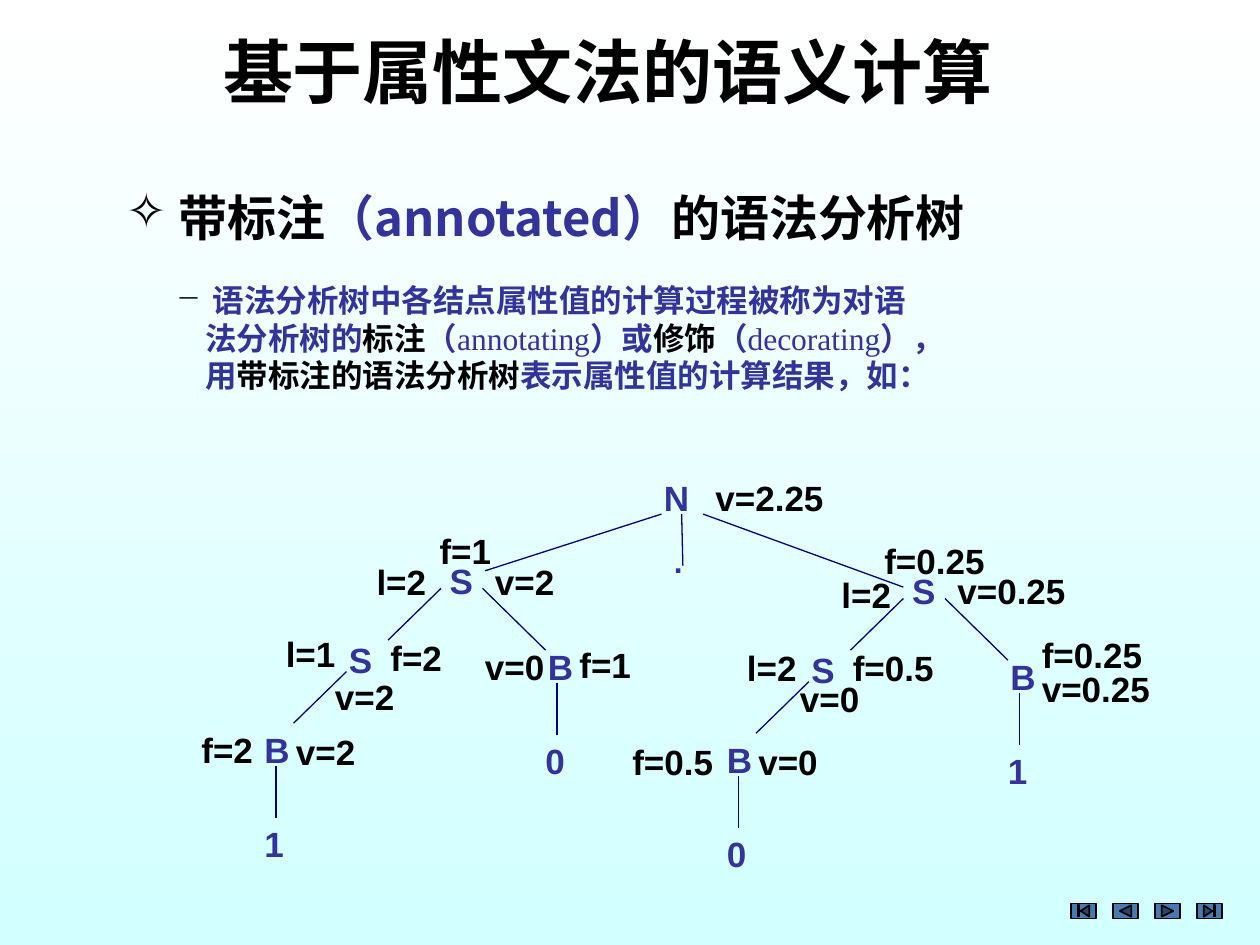
from lxml import etree
from pptx import Presentation
from pptx.dml.color import RGBColor
from pptx.enum.shapes import MSO_CONNECTOR, MSO_SHAPE as SHAPE
from pptx.enum.text import MSO_ANCHOR, MSO_AUTO_SIZE, PP_ALIGN
from pptx.oxml.ns import qn
from pptx.util import Inches, Pt

THEME = {
    "ink": RGBColor.from_string("000000"),
    "accent": RGBColor.from_string("333399"),
    "branch": RGBColor.from_string("000080"),
    "button": RGBColor.from_string("477AB1"),
    "sky": [RGBColor.from_string("FFFFFF"), RGBColor.from_string("D2FFFF")],
    "title": 40, "heading": 28, "body": 18, "node": 20,
    "latin": "Arial", "serif": "Times New Roman", "cjk": "Noto Sans CJK SC",
}

deck = Presentation()
deck.slide_width, deck.slide_height = Inches(10), Inches(7.5)
COL, ROW = deck.slide_width / 100, deck.slide_height / 75
page = deck.slides.add_slide(deck.slide_layouts[5])


def write(para, spans, size, font, line=None):
    """Fill a paragraph with (text, colour, bold) spans."""
    para.alignment = PP_ALIGN.LEFT
    para.space_before = para.space_after = Pt(0)
    if line:
        para.line_spacing = Pt(line)
    for text, color, bold in spans:
        span = para.add_run()
        span.text = text
        span.font.size, span.font.bold = Pt(size), bold
        span.font.color.rgb = THEME[color]
        span.font.name = font
        etree.SubElement(span.font._element, qn("a:ea"), typeface=THEME["cjk"])


def add_box(left, top, width, height):
    """Add a wrapping text box placed by columns and rows."""
    box = page.shapes.add_textbox(
        round(left * COL), round(top * ROW), round(width * COL), round(height * ROW))
    box.text_frame.word_wrap = True
    return box.text_frame


# Background
backdrop = page.background.fill
backdrop.gradient()
backdrop.gradient_angle = 270
for stop, position, color in zip(backdrop.gradient_stops, (0, 1), THEME["sky"]):
    stop.position, stop.color.rgb = position, color

# Title
title = page.shapes.title
title.left, title.top = round(16.7 * COL), round(2.4 * ROW)
title.width, title.height = round(63.9 * COL), round(7 * ROW)
title.text_frame.vertical_anchor = MSO_ANCHOR.TOP
title.text_frame.auto_size = MSO_AUTO_SIZE.NONE
write(title.text_frame.paragraphs[0], [("基于属性文法的语义计算", "ink", True)],
      THEME["title"], THEME["latin"], 43.2)

# Heading and explanation: (indent, hanging, bullet, spans) for each paragraph
heading = [(4.2, 4.2, "✧", [("带标注", "ink", True), ("（annotated）", "accent", True),
                            ("的语法分析树", "ink", True)])]
explanation = [
    (2.9, 2.9, "−", [("语法分析树中各结点属性值的计算过程被称为对语", "accent", True)]),
    (2.3, 0, None, [
        ("法分析树的", "accent", True), ("标注", "ink", True), ("（", "accent", True),
        ("annotating", "accent", False), ("）或", "accent", True),
        ("修饰", "ink", True), ("（", "accent", True),
        ("decorating", "accent", False), ("），", "accent", True)]),
    (2.3, 0, None, [("用", "accent", True), ("带标注的语法分析树", "ink", True),
                    ("表示属性值的计算结果，如：", "accent", True)]),
]
for place, paragraphs, size, font in (
    ((9, 14.4, 87.4, 5.7), heading, THEME["heading"], THEME["cjk"]),
    ((13, 21.8, 85.1, 10), explanation, THEME["body"], THEME["serif"]),
):
    frame = add_box(*place)
    for index, (indent, hanging, bullet, spans) in enumerate(paragraphs):
        para = frame.add_paragraph() if index else frame.paragraphs[0]
        write(para, spans, size, font, 1.2 * size)
        props = para._p.get_or_add_pPr()
        props.set("marL", str(round(indent * COL)))
        props.set("indent", str(round(-hanging * COL)))
        if bullet:
            color = etree.SubElement(props, qn("a:buClr"))
            etree.SubElement(color, qn("a:srgbClr"), val=str(THEME["ink"]))
            etree.SubElement(props, qn("a:buChar"), char=bullet)

# Tree: both halves share one shape, the right one is shifted by a fixed step
SHIFT = (36.7, 0.8)
branches = [(52.5, 40.8, 38.5, 45.3), (54.1, 40.8, 54.2, 44.9), (55.8, 40.8, 71.7, 46.6)]
nodes = [("N", 51.7, 37.3), (".", 52.5, 42.5)]
half_branches = [(38.3, 46.7, 43.3, 51.6), (35, 46.7, 30.8, 50.8),
                 (27.5, 53.3, 23.3, 57.4), (44.2, 54.2, 44.2, 58.3),
                 (21.9, 60.8, 21.9, 64.9)]
half_nodes = [("S", 34.7, 43.9), ("S", 26.7, 50.2), ("B", 42.5, 50.7), ("B", 20, 57.3)]
for half, (left_leaf, right_leaf) in enumerate(("10", "01")):
    dx, dy = half * SHIFT[0], half * SHIFT[1]
    branches += [(x1 + dx, y1 + dy, x2 + dx, y2 + dy) for x1, y1, x2, y2 in half_branches]
    leaves = [(left_leaf, 20, 64.8), (right_leaf, 42.3, 58.2)]
    nodes += [(symbol, x + dx, y + dy) for symbol, x, y in half_nodes + leaves]

for x1, y1, x2, y2 in branches:
    branch = page.shapes.add_connector(
        MSO_CONNECTOR.STRAIGHT, round(x1 * COL), round(y1 * ROW),
        round(x2 * COL), round(y2 * ROW))
    branch.line.color.rgb, branch.line.width = THEME["branch"], Pt(0.75)
    etree.SubElement(branch._element.spPr, qn("a:effectLst"))

# Attribute values beside the nodes
values = [
    ("v=2.25", 55.8, 37.3), ("f=1", 33.9, 41.5), ("l=2", 28.9, 44), ("v=2", 38.3, 44),
    ("l=1", 21.7, 49.7), ("f=2", 30, 50), ("v=2", 25.6, 53.1), ("v=0", 37.5, 50.7),
    ("f=1", 45, 50.6), ("f=2", 15, 57.3), ("v=2", 22.5, 57.5), ("f=0.25", 69.2, 42.3),
    ("l=2", 65.8, 45), ("v=0.25", 75, 44.7), ("l=2", 58.3, 50.8), ("f=0.5", 66.7, 50.8),
    ("v=0", 62.5, 53.3), ("f=0.25", 81.7, 49.8), ("v=0.25", 81.7, 52.5),
    ("f=0.5", 49.2, 58.3), ("v=0", 59.2, 58.3),
]
WIDTHS = {1: 4.2, 3: 7, 5: 9.5, 6: 11}
for color, labels in (("accent", nodes), ("ink", values)):
    for text, left, top in labels:
        frame = add_box(left, top, WIDTHS[len(text)], 4.4)
        size = THEME["body"] if text == "." else THEME["node"]
        write(frame.paragraphs[0], [(text, color, True)], size, THEME["latin"])

# Navigation buttons
for index, kind in enumerate((SHAPE.ACTION_BUTTON_BEGINNING,
                              SHAPE.ACTION_BUTTON_BACK_OR_PREVIOUS,
                              SHAPE.ACTION_BUTTON_FORWARD_OR_NEXT,
                              SHAPE.ACTION_BUTTON_END)):
    button = page.shapes.add_shape(
        kind, round((85 + index * 10 / 3) * COL), round(71.7 * ROW),
        round(2 * COL), round(1.2 * ROW))
    button.shadow.inherit = False
    button.fill.solid()
    button.fill.fore_color.rgb = THEME["button"]
    button.line.color.rgb, button.line.width = THEME["ink"], Pt(1)

deck.save("out.pptx")
